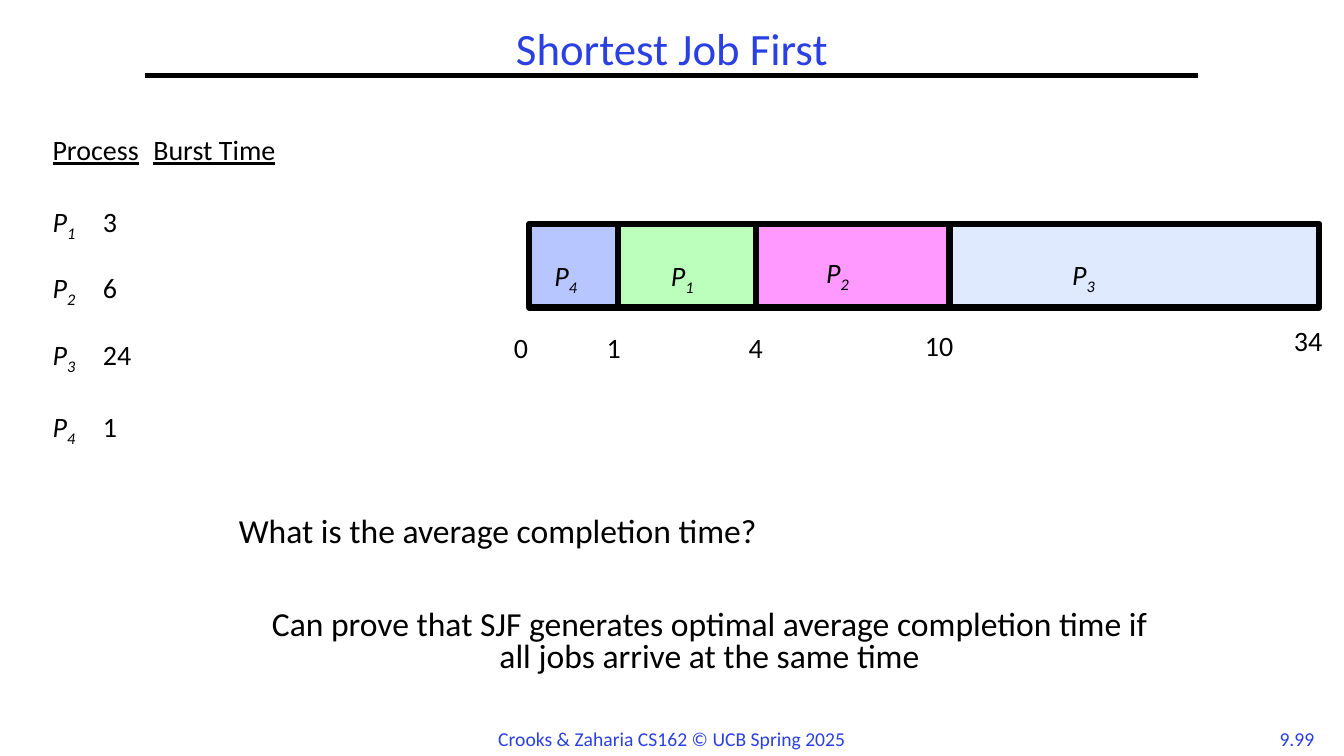
from pptx import Presentation
from pptx.dml.color import RGBColor
from pptx.enum.shapes import MSO_CONNECTOR, MSO_SHAPE
from pptx.enum.text import MSO_ANCHOR, MSO_AUTO_SIZE, PP_ALIGN
from pptx.oxml.ns import qn
from pptx.util import Cm, Pt
from lxml import etree

LEFT, CENTER = PP_ALIGN.LEFT, PP_ALIGN.CENTER
TOP, MIDDLE = MSO_ANCHOR.TOP, MSO_ANCHOR.MIDDLE
NO_FIT = MSO_AUTO_SIZE.NONE
RECT, STRAIGHT = MSO_SHAPE.RECTANGLE, MSO_CONNECTOR.STRAIGHT
BLACK, BLUE = "000000", "2A40E2"


def rgb(value):
    return RGBColor.from_string(value)


class Deck:
    """Slide builder that keeps the font and the current slide."""

    font = "Calibri"

    def __init__(self, width, height):
        self.prs = Presentation()
        self.prs.slide_width, self.prs.slide_height = Cm(width), Cm(height)
        self.s = self.prs.slides.add_slide(self.prs.slide_layouts[1])

    def style(self, r, size, color=BLACK, marks=""):
        r.font.name, r.font.size = self.font, Pt(size)
        r.font.color.rgb = rgb(color)
        if "i" in marks:
            r.font.italic = True
        if "u" in marks:
            r.font.underline = True
        if "s" in marks:
            r._r.get_or_add_rPr().set("baseline", "-25000")

    def fill_paragraph(self, p, runs, size, color=BLACK, align=LEFT, spacing=0.8):
        p.alignment, p.line_spacing, p.space_before = align, spacing, Pt(0)
        for text, marks in runs:
            r = p.add_run()
            r.text = text
            self.style(r, size, color, marks)

    def place(self, sp, left, top, width, height):
        sp.left, sp.top, sp.width, sp.height = Cm(left), Cm(top), Cm(width), Cm(height)
        sp.text_frame.auto_size = NO_FIT
        return sp.text_frame

    def title(self, text, *box):
        tf = self.place(self.s.shapes.title, *box)
        tf.vertical_anchor = MIDDLE
        self.fill_paragraph(tf.paragraphs[0], [(text, "")], 32, BLUE, CENTER, 0.9)

    def body(self, rows, *box):
        tf = self.place(self.s.placeholders[1], *box)
        tf.vertical_anchor = TOP
        for i, (runs, tab, before) in enumerate(rows):
            p = tf.add_paragraph() if i else tf.paragraphs[0]
            pPr = p._p.get_or_add_pPr()
            pPr.set("marL", "0")
            pPr.set("indent", "0")
            etree.SubElement(pPr, qn("a:buNone"))
            tabs = etree.SubElement(pPr, qn("a:tabLst"))
            etree.SubElement(tabs, qn("a:tab"), pos=str(Cm(tab)), algn="l")
            self.fill_paragraph(p, runs, 20)
            p.space_before = Pt(before)

    def text(self, runs, left, top, width, height, size=20, color=BLACK,
             align=LEFT, spacing=0.8):
        sp = self.s.shapes.add_textbox(Cm(left), Cm(top), Cm(width), Cm(height))
        tf = sp.text_frame
        tf.word_wrap = True
        self.fill_paragraph(tf.paragraphs[0], runs, size, color, align, spacing)

    def bar(self, left, top, width, height, fill):
        sp = self.s.shapes.add_shape(RECT, Cm(left), Cm(top), Cm(width), Cm(height))
        sp.shadow.inherit = False
        sp.fill.solid()
        sp.fill.fore_color.rgb = rgb(fill)
        sp.line.color.rgb, sp.line.width = rgb(BLACK), Pt(4.5)

    def rule(self, x1, x2, y):
        c = self.s.shapes.add_connector(STRAIGHT, Cm(x1), Cm(y), Cm(x2), Cm(y))
        c.line.color.rgb, c.line.width = rgb(BLACK), Pt(3)
        etree.SubElement(c._element.spPr, qn("a:effectLst"))


def process(number):
    return [("P", "i"), (number, "is")]


def main():
    deck = Deck(33.87, 19.05)
    deck.rule(3.66, 30.2, 1.9)
    deck.title("Shortest Job First", 0, 0.64, 33.87, 1.27)

    rows = [([("Process", "u"), ("\t", ""), ("Burst Time", "u")], 2.54, 0)]
    for number, burst, tab, before in [("1", "3", 2.54, 30), ("2", "6", 2.54, 25.5),
                                       ("3", "24", 2.65, 25.5), ("4", "1", 2.65, 30)]:
        rows.append((process(number) + [("\t" + burst, "")], tab, before))
    deck.body(rows, 1.07, 3.38, 12, 8)

    edges = [13.34, 15.57, 19.05, 23.93, 33.25]
    jobs = [("4", "B7C6FE", 13.72, 6.48), ("1", "BCFFBC", 16.66, 6.48),
            ("2", "FF99FF", 20.57, 6.4), ("3", "DFE9FF", 26.77, 6.45)]
    for start, end, (number, fill, x, y) in zip(edges, edges[1:], jobs):
        deck.bar(start, 5.64, end - start, 2.11, fill)
        deck.text(process(number), x, y, 1.47, 0.84)

    for time, x, y in [("0", 12.7, 8.38), ("1", 15.04, 8.38), ("4", 18.62, 8.38),
                       ("10", 23.06, 8.31), ("34", 32.36, 8.2)]:
        deck.text([(time, "")], x, y, 1.47, 0.84)

    deck.text([("What is the average completion time?", "")],
              5.77, 12.93, 23.06, 1.2, 24)
    deck.text([("Can prove that SJF generates optimal average completion time if "
                "all jobs arrive at the same time", "")],
              6.35, 15.27, 23.06, 2, 24, align=CENTER)

    for note, x, width in [("Crooks & Zaharia CS162 © UCB Spring 2025", 11.5, 10.87),
                           ("9.99", 31.95, 1.47)]:
        deck.text([(note, "")], x, 18.19, width, 0.85, 14, BLUE, CENTER, 1.0)

    deck.prs.save("out.pptx")


if __name__ == "__main__":
    main()
